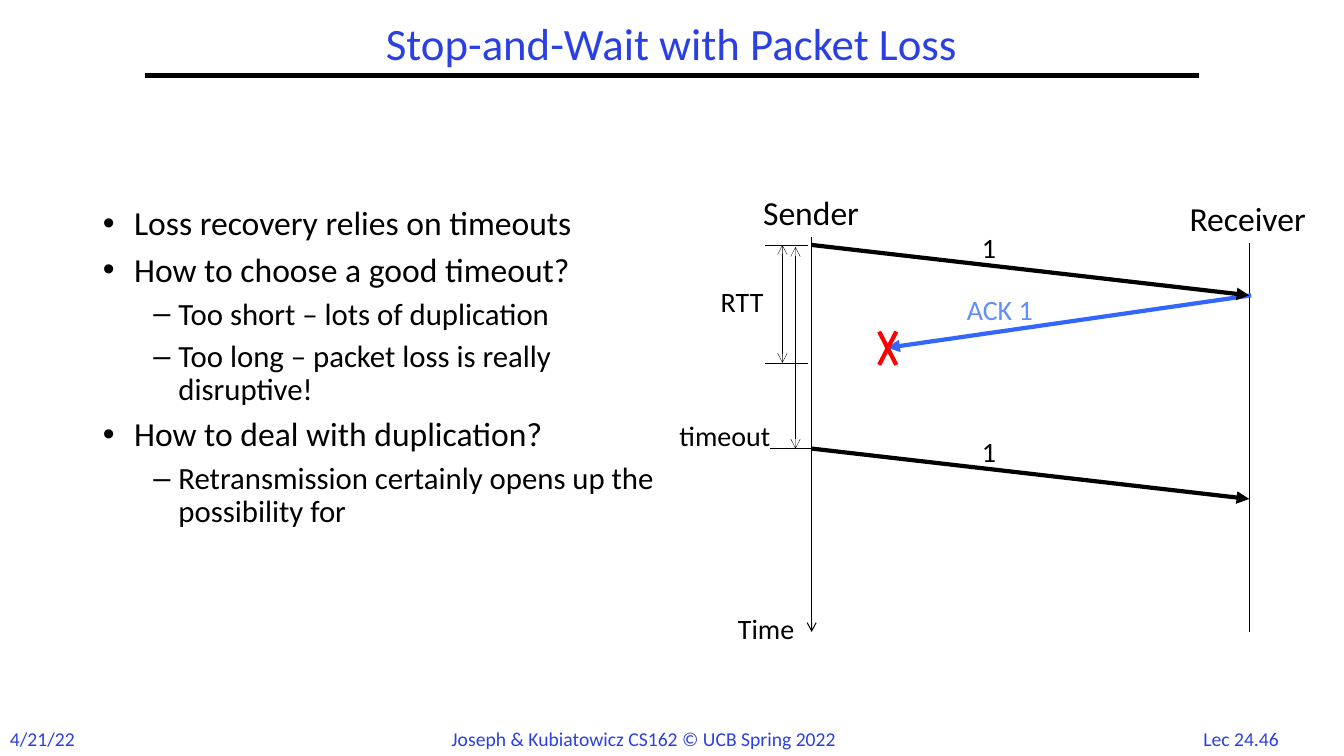
from dataclasses import dataclass

from lxml.etree import SubElement
from pptx import Presentation
from pptx.dml.color import RGBColor
from pptx.enum.shapes import MSO_CONNECTOR, MSO_SHAPE
from pptx.enum.text import MSO_ANCHOR, MSO_AUTO_SIZE, PP_ALIGN
from pptx.oxml.ns import qn
from pptx.util import Pt

PX = 9144  # EMU per px, 100 px to the inch


@dataclass(frozen=True)
class Theme:
    font: str = "Calibri"
    ink: str = "000000"
    paper: str = "FFFFFF"
    title: str = "2A40E2"
    ack_line: str = "3366FF"
    ack_text: str = "618FFD"
    loss: str = "FF0000"
    title_size: int = 32
    head_size: int = 24
    sub_size: int = 22
    label_size: int = 20
    footer_size: int = 14
    thick: float = 3
    thin: float = 0.75
    hairline: float = 0.25


def set_all(target, values):
    for name, value in values.items():
        setattr(target, name, value)


class SlideBuilder:
    def __init__(self, slide, theme):
        self.s = slide
        self.theme = theme

    def box(self, *lengths):
        return [n * PX for n in lengths]

    def place(self, sp, *lengths):
        set_all(sp, dict(zip(("left", "top", "width", "height"), self.box(*lengths))))

    def run(self, p, text, size, color):
        r = p.add_run()
        r.text = text
        set_all(r.font, {"name": self.theme.font, "size": Pt(size)})
        r.font.color.rgb = RGBColor.from_string(color)

    def title(self, text, *at):
        sp = self.s.shapes.title
        self.place(sp, *at)
        tf = sp.text_frame
        set_all(tf, {"word_wrap": True, "auto_size": MSO_AUTO_SIZE.NONE,
                     "vertical_anchor": MSO_ANCHOR.MIDDLE})
        p = tf.paragraphs[0]
        set_all(p, {"alignment": PP_ALIGN.CENTER, "line_spacing": 0.9})
        self.run(p, text, self.theme.title_size, self.theme.title)

    def bullets(self, items, *at):
        sp = self.s.placeholders[1]
        self.place(sp, *at)
        tf = sp.text_frame
        set_all(tf, {"word_wrap": True, "auto_size": MSO_AUTO_SIZE.NONE,
                     "vertical_anchor": MSO_ANCHOR.TOP})
        levels = [("•", 31, 31, self.theme.head_size), ("–", 75, 25, self.theme.sub_size)]
        for i, (level, text) in enumerate(items):
            mark, margin, hang, size = levels[level]
            p = tf.add_paragraph() if i else tf.paragraphs[0]
            set_all(p, {"level": level, "line_spacing": 0.9,
                        "space_before": Pt(0.3 * size if i else 0)})
            pPr = p._p.get_or_add_pPr()
            pPr.set("marL", str(margin * PX))
            pPr.set("indent", str(-hang * PX))
            SubElement(pPr, qn("a:buChar")).set("char", mark)
            self.run(p, text, size, self.theme.ink)

    def text(self, text, *at, size=None, color=None, align=PP_ALIGN.LEFT,
             wrap=False, filled=False):
        if filled:
            sp = self.s.shapes.add_shape(MSO_SHAPE.RECTANGLE, *self.box(*at))
            sp.shadow.inherit = False
            sp.fill.solid()
            sp.fill.fore_color.rgb = RGBColor.from_string(self.theme.paper)
            sp.line.fill.background()
        else:
            sp = self.s.shapes.add_textbox(*self.box(*at))
        tf = sp.text_frame
        set_all(tf, {"word_wrap": wrap, "auto_size": MSO_AUTO_SIZE.SHAPE_TO_FIT_TEXT,
                     "vertical_anchor": MSO_ANCHOR.TOP})
        p = tf.paragraphs[0]
        p.alignment = align
        self.run(p, text, size or self.theme.label_size, color or self.theme.ink)

    def line(self, *ends, width, color=None, head=None, tail=None):
        sp = self.s.shapes.add_connector(MSO_CONNECTOR.STRAIGHT, *self.box(*ends))
        sp.line.width = Pt(width)
        sp.line.color.rgb = RGBColor.from_string(color or self.theme.ink)
        ln = sp.line._get_or_add_ln()
        for tag, kind in (("a:headEnd", head), ("a:tailEnd", tail)):
            if kind:
                SubElement(ln, qn(tag)).set("type", kind)
        SubElement(sp._element.spPr, qn("a:effectLst"))

    def packet(self, label, y):
        self.line(SENDER_X, y, RECEIVER_X, y + 50, width=self.theme.thick, tail="triangle")
        self.text(label, 964, y - 19, 36, 44)

    def interval(self, label, x, top, bottom, label_box):
        """Double-headed time span with its label."""
        self.line(x, top, x, bottom, width=self.theme.hairline, head="arrow", tail="arrow")
        self.text(label, *label_box, wrap=True)


SENDER_X, RECEIVER_X = 805, 1239
FIRST_SEND, RESEND = 243, 445
RTT_END = 360
LIFE_TOP, LIFE_END = 235, 627


def main():
    prs = Presentation()
    set_all(prs, {"slide_width": 1333 * PX, "slide_height": 750 * PX})
    theme = Theme()
    b = SlideBuilder(prs.slides.add_slide(prs.slide_layouts[1]), theme)

    b.title("Stop-and-Wait with Packet Loss", 144, 17, 1044, 58)
    b.line(144, 75, 1189, 75, width=theme.thick)
    b.bullets([
        (0, "Loss recovery relies on timeouts"),
        (0, "How to choose a good timeout?"),
        (1, "Too short – lots of duplication"),
        (1, "Too long – packet loss is really disruptive!"),
        (0, "How to deal with duplication?"),
        (1, "Retransmission certainly opens up the possibility for"),
    ], 92, 200, 572, 476)

    footer = {"size": theme.footer_size, "color": theme.title}
    b.text("4/21/22", 0, 716, 100, 34, wrap=True, **footer)
    b.text("Joseph & Kubiatowicz CS162 © UCB Spring 2022", 438, 716, 413, 34, **footer)
    b.text("Lec 24.46", 1177, 716, 108, 33, align=PP_ALIGN.CENTER, **footer)

    for x, tail in ((SENDER_X, "arrow"), (RECEIVER_X, None)):
        b.line(x, LIFE_TOP, x, LIFE_END, width=theme.thin, tail=tail)
    b.line(1241, 293, 880, 345, width=theme.thick, color=theme.ack_line, tail="triangle")
    b.text("ACK 1", 949, 285, 101, 44, color=theme.ack_text)
    b.text("Time", 722, 602, 82, 44)
    b.text("Sender", 747, 185, 129, 50, size=theme.head_size, filled=True)
    b.text("Receiver", 1170, 191, 153, 50, size=theme.head_size, filled=True)

    for y in (FIRST_SEND, RTT_END):
        b.line(801, y, 759, y, width=theme.hairline)
    b.line(SENDER_X, RESEND, 764, RESEND, width=theme.hairline)
    b.interval("RTT", 776, FIRST_SEND, RTT_END, (705, 277, 79, 44))
    b.interval("timeout", 789, FIRST_SEND + 2, RESEND, (664, 410, 125, 44))

    for start, end in ((889, 872), (872, 889)):
        b.line(start, 329, end, 362, width=theme.thick, color=theme.loss)
    for y in (FIRST_SEND, RESEND):
        b.packet("1", y)

    prs.save("out.pptx")


if __name__ == "__main__":
    main()
